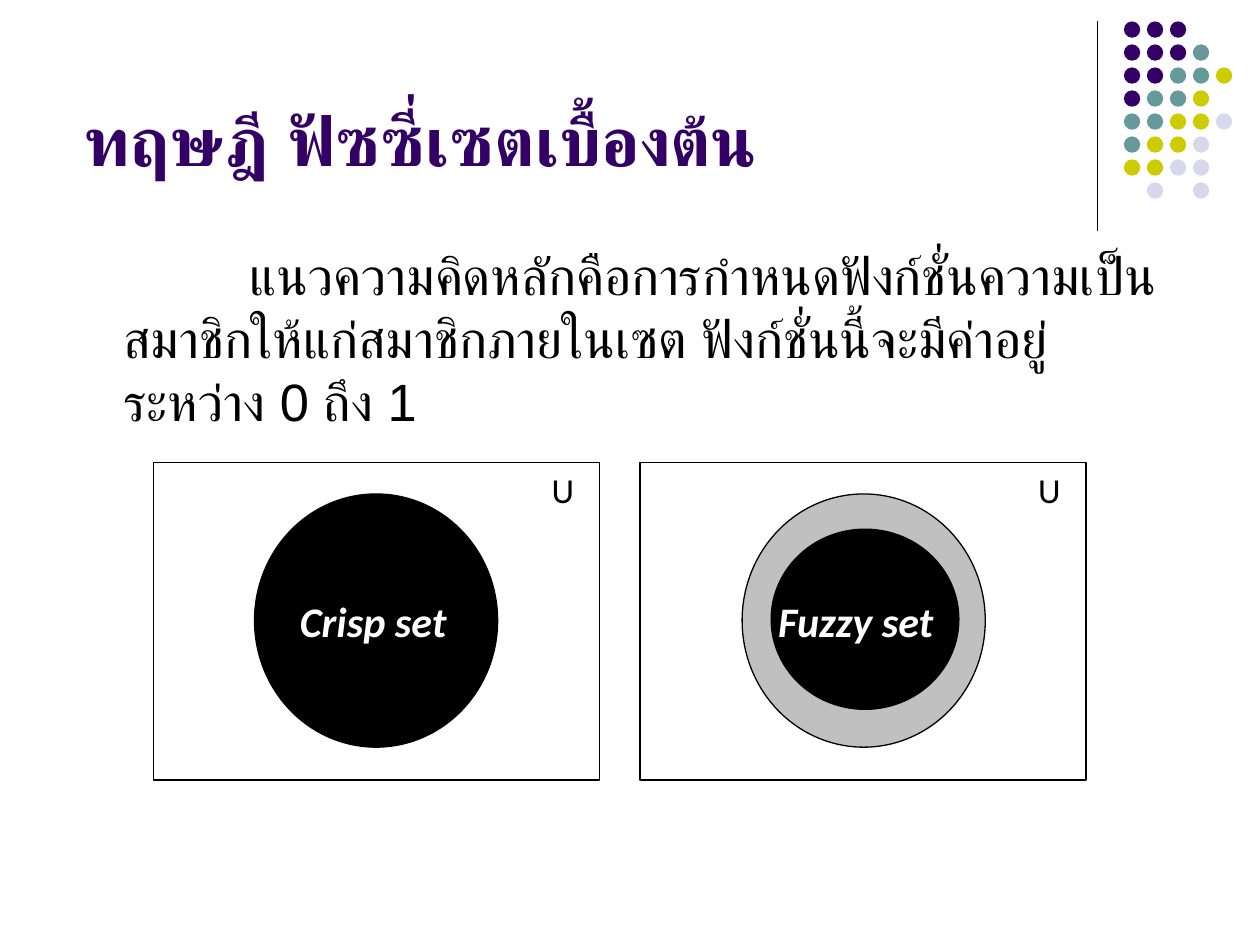
from dataclasses import dataclass

from lxml.etree import SubElement
from pptx import Presentation
from pptx.dml.color import RGBColor
from pptx.enum.shapes import MSO_CONNECTOR, MSO_SHAPE
from pptx.enum.text import MSO_ANCHOR, PP_ALIGN
from pptx.oxml.ns import qn
from pptx.util import Inches, Pt


@dataclass(frozen=True)
class Theme:
    plum: str = "330066"
    teal: str = "669999"
    lime: str = "CCCC00"
    mist: str = "D8D8EC"
    black: str = "000000"
    white: str = "FFFFFF"
    gray: str = "C0C0C0"
    thai: str = "Arial"
    latin: str = "Calibri"
    title: float = 39
    body: float = 30
    name: float = 24
    mark: float = 20
    line: float = 0.75


THEME = Theme()
DOTS = ("PPP", "PPPT", "PPTTL", "PTTL", "TTLLM", "TLLM", "LLMM", " M M")
TONES = {"P": THEME.plum, "T": THEME.teal, "L": THEME.lime, "M": THEME.mist}


def color(code):
    return RGBColor.from_string(code)


def add_form(slide, kind, box, fill, edge=None):
    form = slide.shapes.add_shape(kind, *map(Inches, box))
    form.shadow.inherit = False
    form.fill.solid()
    form.fill.fore_color.rgb = color(fill)
    if edge:
        form.line.color.rgb = color(edge)
        form.line.width = Pt(THEME.line)
    else:
        form.line.fill.background()


def add_text(slide, box, text, face, size, tone, bold=False, italic=False,
             wrap=True, align=PP_ALIGN.LEFT, anchor=MSO_ANCHOR.TOP):
    frame = slide.shapes.add_textbox(*map(Inches, box)).text_frame
    frame.word_wrap = wrap
    frame.vertical_anchor = anchor
    para = frame.paragraphs[0]
    para.text = text
    para.alignment = align
    font = para.font
    font.name = face
    font.size = Pt(size)
    font.bold = bold
    font.italic = italic
    font.color.rgb = color(tone)
    return para


def set_thai(para):
    """Name the face for complex scripts, which Thai letters use."""
    props = para._p.pPr.find(qn("a:defRPr"))
    SubElement(props, qn("a:cs"), typeface=THEME.thai)


def set_indent(para, left, first):
    props = para._p.get_or_add_pPr()
    props.set("marL", str(Inches(left)))
    props.set("indent", str(Inches(first)))


def add_rule(slide, x, top, end):
    rule = slide.shapes.add_connector(
        MSO_CONNECTOR.STRAIGHT, Inches(x), Inches(top), Inches(x), Inches(end))
    rule.line.color.rgb = color(THEME.black)
    rule.line.width = Pt(THEME.line)
    SubElement(rule._element.spPr, qn("a:effectLst"))


def add_dots(slide, left, top, size):
    step = 0.73 / 4
    for row, marks in enumerate(DOTS):
        for col, mark in enumerate(marks):
            if mark in TONES:
                box = (left + col * step, top + row * step, size, size)
                add_form(slide, MSO_SHAPE.OVAL, box, TONES[mark])


def add_set(slide, left, ovals, label, place):
    """Draw a universe frame, its ovals from back to front, and the labels."""
    top, width = 3.67, 3.54
    add_form(slide, MSO_SHAPE.RECTANGLE, (left, top, width, 2.52),
             THEME.white, THEME.black)
    for box, fill in ovals:
        add_form(slide, MSO_SHAPE.OVAL, box, fill, THEME.black)
    add_text(slide, (left + width - 0.48, top, 0.48, 0.5), "U",
             THEME.latin, THEME.mark, THEME.black)
    add_text(slide, place, label, THEME.latin, THEME.name, THEME.white,
             bold=True, italic=True, wrap=False, align=PP_ALIGN.CENTER)


def main():
    deck = Presentation()
    deck.slide_width, deck.slide_height = Inches(10), Inches(7.5)
    slide = deck.slides.add_slide(deck.slide_layouts[6])

    add_rule(slide, 8.71, 0.17, 1.83)
    add_dots(slide, 8.92, 0.17, 0.13)

    title = add_text(slide, (0.57, 0.2, 8.11, 1.28), "ทฤษฎี ฟัซซี่เซตเบื้องต้น",
                     THEME.thai, THEME.title, THEME.plum, bold=True,
                     anchor=MSO_ANCHOR.BOTTOM)
    set_thai(title)

    body = add_text(
        slide, (0.5, 1.88, 9, 4.82),
        "แนวความคิดหลักคือการกำหนดฟังก์ชั่นความเป็นสมาชิกให้แก่สมาชิกภายในเซต "
        "ฟังก์ชั่นนี้จะมีค่าอยู่ระหว่าง 0 ถึง 1",
        THEME.thai, THEME.body, THEME.black)
    set_thai(body)
    set_indent(body, 0.38, 1)

    add_set(slide, 1.22, [((2.02, 3.92, 1.93, 2.01), THEME.black)],
            "Crisp set ", (2.12, 4.68, 1.76, 0.5))
    add_set(slide, 5.08, [((5.89, 3.92, 1.93, 2.01), THEME.gray),
                          ((6.12, 4.2, 1.49, 1.43), THEME.black)],
            "Fuzzy set ", (5.9, 4.68, 1.86, 0.5))

    deck.save("out.pptx")


if __name__ == "__main__":
    main()
